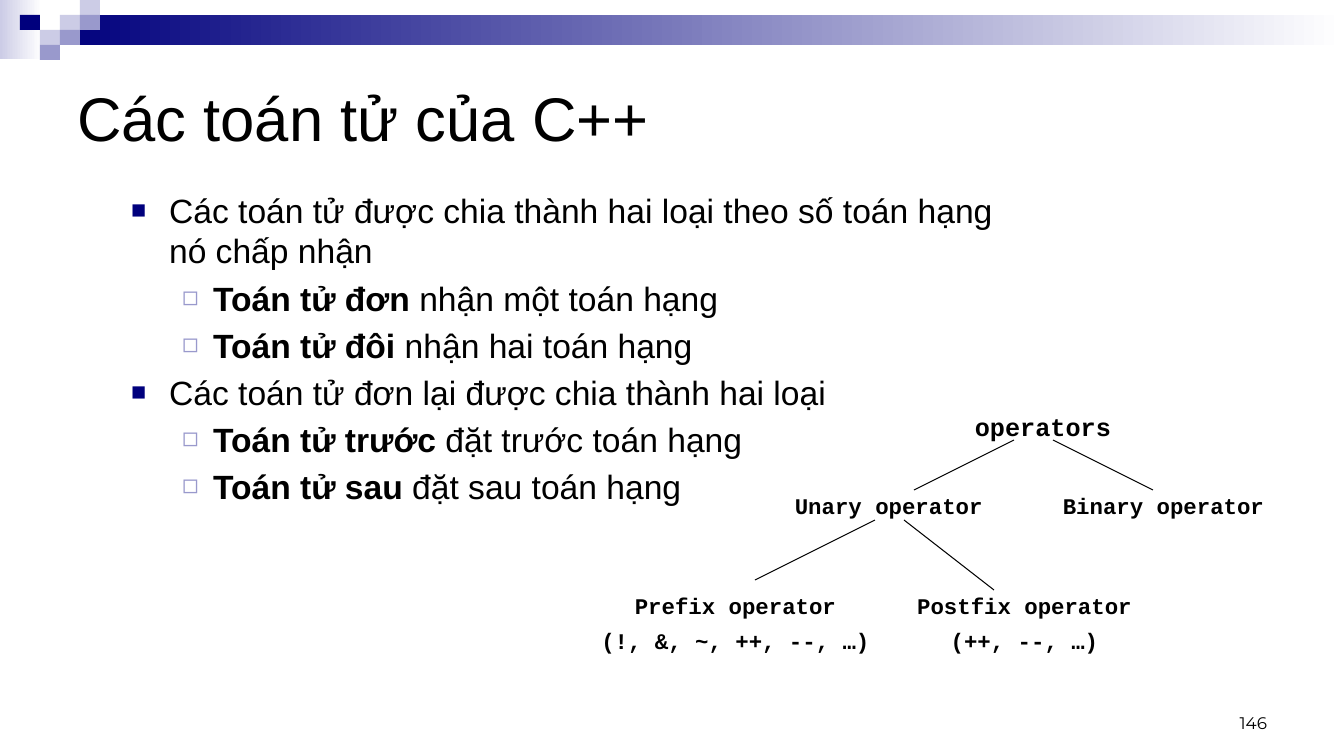
from lxml.etree import SubElement
from pptx import Presentation
from pptx.dml.color import RGBColor
from pptx.enum.shapes import MSO_CONNECTOR, MSO_SHAPE
from pptx.enum.text import MSO_ANCHOR, MSO_AUTO_SIZE, PP_ALIGN
from pptx.oxml.ns import qn
from pptx.util import Emu, Pt

EMU_PER_PX = 914400 / 100.8

BLACK = RGBColor(0x00, 0x00, 0x00)
WHITE = RGBColor(0xFF, 0xFF, 0xFF)
NAVY = RGBColor(0x00, 0x00, 0x7D)
LILAC = RGBColor(0x99, 0x99, 0xCC)
PALE = RGBColor(0xCC, 0xCC, 0xE6)

TILE_WIDTH, TILE_HEIGHT = 20, 15
# column, row, colour
TILES = [(3, 1, PALE), (4, 0, PALE), (4, 1, LILAC), (2, 2, PALE),
         (1, 1, NAVY), (3, 2, LILAC), (2, 3, LILAC)]

# level, bold lead, rest
POINTS = [
    (0, "", "Các toán tử được chia thành hai loại theo số toán hạng nó chấp nhận"),
    (1, "Toán tử đơn", " nhận một toán hạng"),
    (1, "Toán tử đôi", " nhận hai toán hạng"),
    (0, "", "Các toán tử đơn lại được chia thành hai loại"),
    (1, "Toán tử trước", " đặt trước toán hạng"),
    (1, "Toán tử sau", " đặt sau toán hạng"),
]
# left margin, hanging indent, character, colour, size in percent
BULLETS = [(38, 38, "■", NAVY, 75), (82, 31, "◻", LILAC, 80)]

# box within the tree, font size, alignment, lines
NODES = [
    ((389, 0, 190, 38), 18, PP_ALIGN.LEFT, ["operators"]),
    ((209, 80, 229, 35), 16, PP_ALIGN.LEFT, ["Unary operator"]),
    ((477, 80, 249, 35), 16, PP_ALIGN.LEFT, ["Binary operator"]),
    ((0, 180, 319, 73), 16, PP_ALIGN.CENTER, ["Prefix operator", "(!, &, ~, ++, --, …)"]),
    ((289, 180, 319, 73), 16, PP_ALIGN.CENTER, ["Postfix operator", "(++, --, …)"]),
]
BRANCHES = [(438, 30, 338, 80), (477, 30, 577, 80),
            (299, 110, 179, 170), (328, 110, 418, 180)]


def px(length):
    return Emu(round(length * EMU_PER_PX))


def px_all(lengths):
    return [px(length) for length in lengths]


def move(shape, box):
    shape.left, shape.top, shape.width, shape.height = px_all(box)


def set_font(font, name, size, bold=False):
    font.name, font.size, font.bold = name, Pt(size), bold
    font.color.rgb = BLACK


def add_rectangle(slide, box, color, fade=False):
    """Add a borderless rectangle, solid or fading to white on the right."""
    rectangle = slide.shapes.add_shape(MSO_SHAPE.RECTANGLE, *px_all(box))
    rectangle.shadow.inherit = False
    rectangle.line.fill.background()
    if fade:
        rectangle.fill.gradient()
        rectangle.fill.gradient_angle = 0
        for stop, position, shade in zip(rectangle.fill.gradient_stops, (0, 1), (color, WHITE)):
            stop.position = position
            stop.color.rgb = shade
    else:
        rectangle.fill.solid()
        rectangle.fill.fore_color.rgb = color


def add_header(slide, box):
    left, top, width, height = box
    bar_left = left + 3 * TILE_WIDTH
    add_rectangle(slide, (left, top, 42, height), PALE, fade=True)
    add_rectangle(slide, (bar_left, top + TILE_HEIGHT, left + width - bar_left, 2 * TILE_HEIGHT),
                  NAVY, fade=True)
    for column, row, color in TILES:
        tile = (left + column * TILE_WIDTH, top + row * TILE_HEIGHT, TILE_WIDTH, TILE_HEIGHT)
        add_rectangle(slide, tile, color)


def fill_title(slide, box):
    title = slide.shapes.title
    move(title, box)
    frame = title.text_frame
    frame.text = "Các toán tử của C++"
    frame.auto_size = MSO_AUTO_SIZE.NONE
    frame.vertical_anchor = MSO_ANCHOR.MIDDLE
    para = frame.paragraphs[0]
    para.alignment = PP_ALIGN.LEFT
    set_font(para.font, "Arial", 44)


def add_bullet(para, level):
    margin, hanging, character, color, percent = BULLETS[level]
    properties = para._p.get_or_add_pPr()
    properties.set("marL", str(px(margin)))
    properties.set("indent", str(-px(hanging)))
    bullet_color = SubElement(properties, qn("a:buClr"))
    SubElement(bullet_color, qn("a:srgbClr"), val=str(color))
    SubElement(properties, qn("a:buSzPct"), val=str(percent * 1000))
    SubElement(properties, qn("a:buFont"), typeface="Arial")
    SubElement(properties, qn("a:buChar"), char=character)


def fill_body(slide, box):
    body = slide.placeholders[1]
    move(body, box)
    frame = body.text_frame
    frame.auto_size = MSO_AUTO_SIZE.NONE
    for index, (level, lead, rest) in enumerate(POINTS):
        para = frame.add_paragraph() if index else frame.paragraphs[0]
        para.level = level
        add_bullet(para, level)
        para.space_before = Pt(4.8 if index else 0)
        set_font(para.font, "Arial", 24)
        if lead:
            span = para.add_run()
            span.text = lead
            span.font.bold = True
        para.add_run().text = rest


def add_label(slide, box, lines, font_name, size, alignment, bold=False):
    label = slide.shapes.add_textbox(*px_all(box))
    frame = label.text_frame
    frame.word_wrap = True
    for index, line in enumerate(lines):
        para = frame.add_paragraph() if index else frame.paragraphs[0]
        para.text = line
        para.alignment = alignment
        if bold:
            para.line_spacing = 0.9
        if index:
            para.space_before = Pt(size / 2)
        set_font(para.font, font_name, size, bold)
    return frame


def add_operator_tree(slide, box):
    left, top = box[:2]
    for (x, y, width, height), size, alignment, lines in NODES:
        add_label(slide, (left + x, top + y, width, height), lines,
                  "Courier New", size, alignment, bold=True)
    for start_x, start_y, end_x, end_y in BRANCHES:
        ends = px_all((left + start_x, top + start_y, left + end_x, top + end_y))
        branch = slide.shapes.add_connector(MSO_CONNECTOR.STRAIGHT, *ends)
        branch.line.color.rgb = BLACK
        branch.line.width = Pt(0.75)
        SubElement(branch._element.spPr, qn("a:effectLst"))


def add_page_number(slide, box):
    frame = add_label(slide, box, ["146"], "Montserrat", 12, PP_ALIGN.RIGHT)
    frame.vertical_anchor = MSO_ANCHOR.BOTTOM


def main():
    deck = Presentation()
    deck.slide_width, deck.slide_height = px(1344), px(756)
    slide = deck.slides.add_slide(deck.slide_layouts[1])
    add_header(slide, (0, 0, 1344, 59))
    fill_title(slide, (67, 50, 1210, 134))
    fill_body(slide, (121, 185, 907, 311))
    add_operator_tree(slide, (576, 410, 726, 253))
    add_page_number(slide, (964, 688, 313, 50))
    deck.save("out.pptx")


if __name__ == "__main__":
    main()
